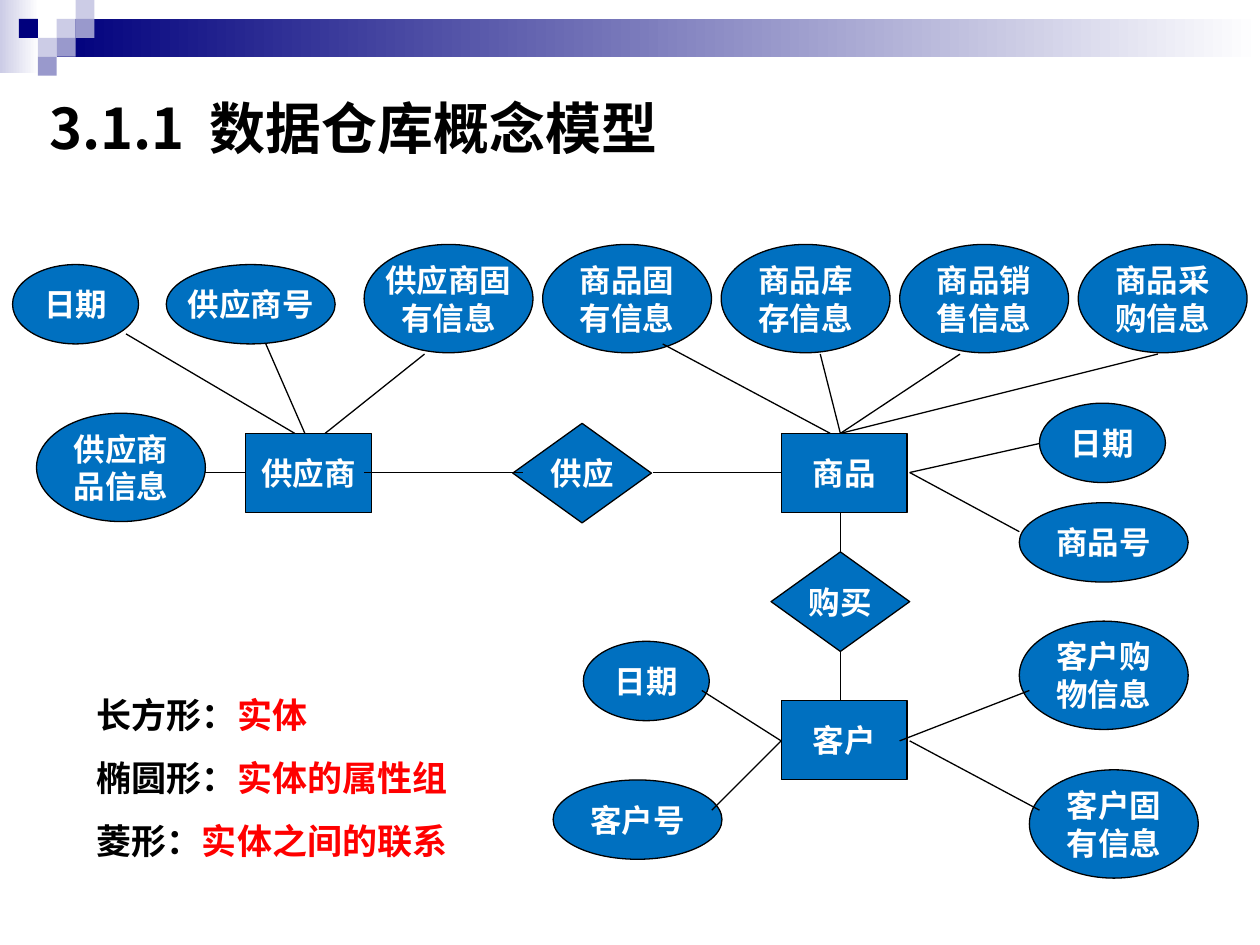
from lxml import etree
from pptx import Presentation
from pptx.dml.color import RGBColor as RGB
from pptx.enum.shapes import MSO_CONNECTOR as Link, MSO_SHAPE as Shape
from pptx.enum.text import MSO_ANCHOR as Anchor, MSO_AUTO_SIZE as Fit, PP_ALIGN as Align
from pptx.oxml.ns import qn
from pptx.util import Inches, Pt

FONT = "Noto Sans CJK SC"
COLORS = {"navy": "00007D", "mid": "9999CC", "pale": "CCCCE6", "white": "FFFFFF",
          "black": "000000", "blue": "0070C0", "red": "FF0000"}

KINDS = {"entity": (Shape.RECTANGLE, 1, 0.63), "small": (Shape.OVAL, 1, 0.63),
         "wide": (Shape.OVAL, 1.34, 0.63), "big": (Shape.OVAL, 1.34, 0.86),
         "tie": (Shape.DIAMOND, 1.1, 0.79)}
TOP_ROW = ["供应商固\n有信息", "商品固\n有信息", "商品库\n存信息", "商品销\n售信息", "商品采\n购信息"]
NODES = [
    ("entity", 1.85, 1.5, "供应商"), ("entity", 6.1, 1.5, "商品"), ("entity", 6.1, 3.62, "客户"),
    ("small", 0, 0.16, "日期"), ("small", 4.53, 3.15, "日期"), ("small", 8.15, 1.26, "日期"),
    ("wide", 1.22, 0.16, "供应商号"), ("wide", 4.29, 4.25, "客户号"), ("wide", 7.99, 2.05, "商品号"),
    ("big", 0.19, 1.34, "供应商\n品信息"), ("big", 7.99, 2.99, "客户购\n物信息"),
    ("big", 8.07, 4.17, "客户固\n有信息"),
    ("tie", 3.97, 1.42, "供应"), ("tie", 6.02, 2.44, "购买"),
] + [("big", 2.79 + 1.417 * i, 0, text) for i, text in enumerate(TOP_ROW)]
LINKS = [
    (1.53, 1.81, 1.85, 1.81), (0.9, 0.71, 2.24, 1.5), (2.01, 0.79, 2.32, 1.5),
    (3.27, 0.87, 2.48, 1.5), (5.47, 3.54, 6.1, 3.94), (5.55, 4.49, 6.1, 3.94),
    (7.04, 3.94, 8.07, 3.54), (7.12, 3.94, 8.15, 4.49), (7.12, 1.81, 8.15, 1.58),
    (7.12, 1.81, 7.99, 2.28), (5.16, 0.79, 6.49, 1.5), (6.41, 0.87, 6.57, 1.5),
    (7.52, 0.87, 6.57, 1.5), (9.09, 0.87, 6.57, 1.5), (2.79, 1.81, 4.05, 1.81),
    (5.08, 1.81, 6.1, 1.81), (6.57, 2.13, 6.57, 2.44), (6.57, 3.23, 6.57, 3.62),
]
LEGEND = [("长方形：", "实体"), ("椭圆形：", "实体的属性组"), ("菱形：", "实体之间的联系")]


def color(name):
    """Return the named colour."""
    return RGB.from_string(COLORS[name])


def style(run, size, tint):
    """Make a run bold in the slide's font, for Latin and Chinese text."""
    font = run.font
    font.name, font.size, font.bold = FONT, Pt(size), True
    font.color.rgb = color(tint)
    etree.SubElement(run._r.rPr, qn("a:ea")).set("typeface", FONT)


def add_form(slide, kind, x, y, w, h):
    """Add a preset shape without shadow or line, measured in inches."""
    form = slide.shapes.add_shape(kind, Inches(x), Inches(y), Inches(w), Inches(h))
    form.shadow.inherit = False
    form.line.fill.background()
    return form


def add_band(slide, x, y, w):
    """Draw the fading top band and its checkered corner."""
    fades = [(0, 0, 0.31, 0.58, "pale"), (0.45, 0.15, w - 0.45, 0.3, "navy")]
    for dx, dy, wide, high, tint in fades:
        fill = add_form(slide, Shape.RECTANGLE, x + dx, y + dy, wide, high).fill
        fill.gradient()
        fill.gradient_angle = 0
        for stop, name in zip(fill.gradient_stops, (tint, "white")):
            stop.color.rgb = color(name)
    tiles = [(3, 1, "pale"), (4, 0, "pale"), (4, 1, "mid"), (2, 2, "pale"),
             (1, 1, "navy"), (3, 2, "mid"), (2, 3, "mid")]
    side = 0.15
    for col, row, tint in tiles:
        tile = add_form(slide, Shape.RECTANGLE, x + col * side, y + row * side, side, side)
        tile.fill.solid()
        tile.fill.fore_color.rgb = color(tint)


def add_title(slide, x, y, w, h):
    """Place the heading, with a wide gap after its number."""
    title = slide.shapes.title
    title.left, title.top, title.width, title.height = map(Inches, (x, y, w, h))
    frame = title.text_frame
    frame.vertical_anchor, frame.auto_size = Anchor.MIDDLE, Fit.NONE
    par = frame.paragraphs[0]
    par.alignment = Align.LEFT
    for text in ("3.1.1", " ", "数据仓库概念模型"):
        run = par.add_run()
        run.text = text
        style(run, 32, "black")
    par.runs[1]._r.rPr.set("spc", "700")


def add_node(slide, kind, x, y, text):
    """Add one labelled entity, attribute or relation."""
    preset, w, h = KINDS[kind]
    node = add_form(slide, preset, x, y, w, h)
    node.fill.solid()
    node.fill.fore_color.rgb = color("blue")
    node.line.color.rgb = color("black")
    node.line.width = Pt(0.75)
    frame = node.text_frame
    frame.text = text
    frame.word_wrap, frame.vertical_anchor = False, Anchor.MIDDLE
    for par in frame.paragraphs:
        par.alignment = Align.CENTER
        style(par.runs[0], 18, "white")


def add_link(slide, x1, y1, x2, y2):
    """Draw a thin straight line between two points."""
    link = slide.shapes.add_connector(Link.STRAIGHT, *map(Inches, (x1, y1, x2, y2)))
    link.line.color.rgb = color("black")
    link.line.width = Pt(0.75)
    etree.SubElement(link._element.spPr, qn("a:effectLst"))


def add_model(slide, x, y):
    """Draw the entity-relation diagram from its top left corner."""
    for kind, dx, dy, text in NODES:
        add_node(slide, kind, x + dx, y + dy, text)
    for x1, y1, x2, y2 in LINKS:
        add_link(slide, x + x1, y + y1, x + x2, y + y2)


def add_legend(slide, x, y, w, h):
    """Explain what each outline stands for."""
    frame = slide.shapes.add_textbox(*map(Inches, (x, y, w, h))).text_frame
    frame.word_wrap = True
    for i, parts in enumerate(LEGEND):
        par = frame.add_paragraph() if i else frame.paragraphs[0]
        par.line_spacing = 1.5
        for text, tint in zip(parts, ("black", "red")):
            run = par.add_run()
            run.text = text
            style(run, 20, tint)


def main():
    """Build and save the slide."""
    deck = Presentation()
    deck.slide_width, deck.slide_height = Inches(10), Inches(7.5)
    slide = deck.slides.add_slide(deck.slide_layouts[5])
    add_band(slide, 0, 0, 10)
    add_title(slide, 0.29, 0.68, 9.34, 0.66)
    add_model(slide, 0.1, 1.94)
    add_legend(slide, 0.67, 5.29, 5, 1.55)
    deck.save("out.pptx")


if __name__ == "__main__":
    main()
